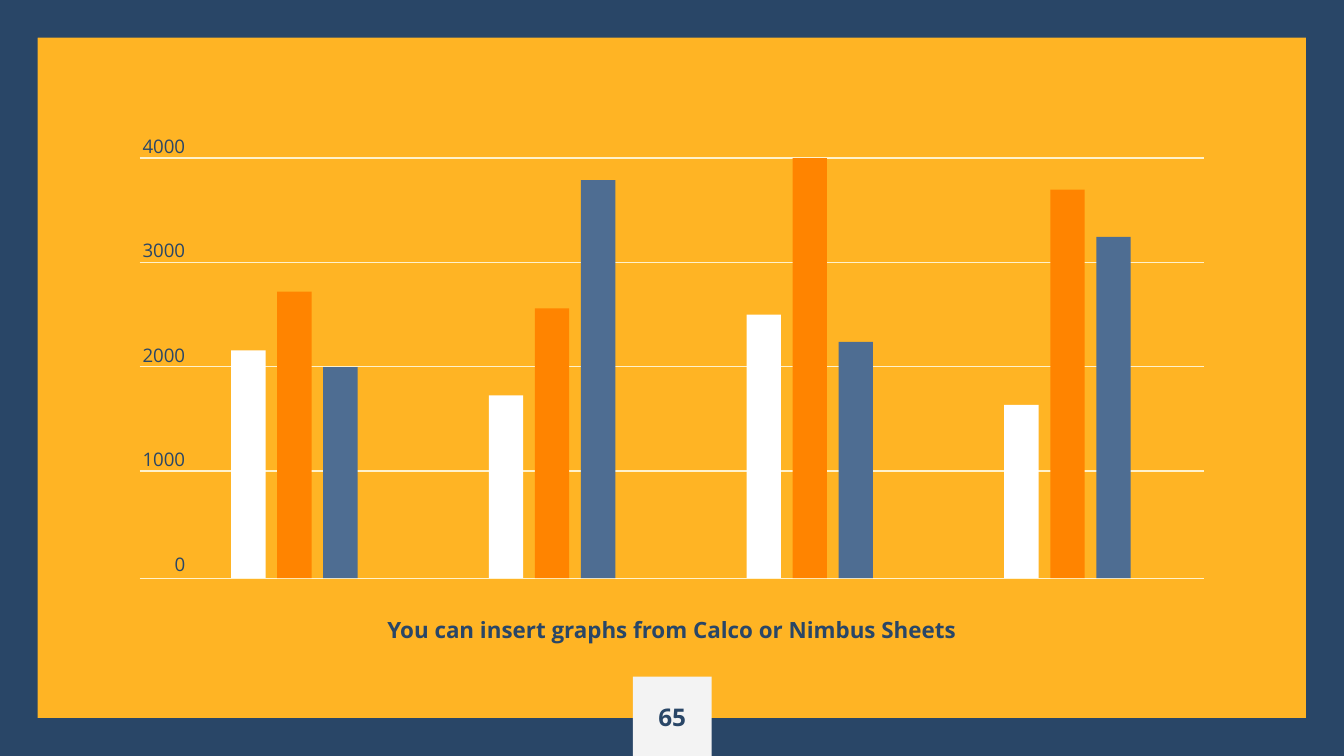
from dataclasses import dataclass

from lxml.etree import SubElement
from pptx import Presentation
from pptx.dml.color import RGBColor
from pptx.enum.shapes import MSO_CONNECTOR, MSO_SHAPE
from pptx.enum.text import MSO_ANCHOR, MSO_AUTO_SIZE, PP_ALIGN
from pptx.oxml.ns import qn
from pptx.util import Cm, Pt


@dataclass(frozen=True)
class Theme:
    """Colours, font and type sizes of the deck."""
    font: str = "Open Sans"
    ink: str = "294667"
    ground: str = "FFA800"
    ground_alpha: int = 86
    tab: str = "F3F3F3"
    grid: str = "FFF2CC"
    series: tuple = ("FFFFFF", "FF8400", "4E6D92")
    caption_size: int = 12
    number_size: int = 13
    axis_size: int = 10


THEME = Theme()
AXIS = (4000, 3000, 2000, 1000, 0)
GROUPS = (
    (2170, 2730, 2010),
    (1740, 2570, 3790),
    (2510, 4000, 2250),
    (1650, 3700, 3250),
)


def add_block(s, box, color, preset=MSO_SHAPE.RECTANGLE):
    """Add a filled shape without outline or shadow."""
    sp = s.shapes.add_shape(preset, *map(Cm, box))
    sp.shadow.inherit = False
    sp.fill.solid()
    sp.fill.fore_color.rgb = RGBColor.from_string(color)
    sp.line.fill.background()
    return sp


def add_rule(s, x1, x2, y):
    """Add a thin horizontal grid line."""
    line = s.shapes.add_connector(
        MSO_CONNECTOR.STRAIGHT, Cm(x1), Cm(y), Cm(x2), Cm(y))
    line.line.color.rgb = RGBColor.from_string(THEME.grid)
    line.line.width = Pt(0.75)
    SubElement(line.element.spPr, qn("a:effectLst"))


def set_frame(tf, margin, anchor):
    """Set wrapping, margins and anchor of a text frame."""
    tf.word_wrap = True
    tf.auto_size = MSO_AUTO_SIZE.NONE
    tf.vertical_anchor = anchor
    tf.margin_left = tf.margin_right = Cm(margin)
    tf.margin_top = tf.margin_bottom = Cm(margin)


def set_text(p, text, size, align, bold=False):
    """Write one paragraph in the theme's font and ink."""
    p.text = text
    p.alignment = align
    p.space_before = Pt(0)
    p.font.name = THEME.font
    p.font.size = Pt(size)
    p.font.bold = bold
    p.font.color.rgb = RGBColor.from_string(THEME.ink)


def add_backdrop(s, box):
    """Draw the tinted ground and the border around it."""
    ground = add_block(s, box, THEME.ground)
    color = ground.element.spPr.find(qn("a:solidFill"))[0]
    SubElement(color, qn("a:alpha"), val=str(THEME.ground_alpha * 1000))
    border = add_block(s, box, THEME.ink, MSO_SHAPE.FRAME)
    border.adjustments[0] = 0.05


def add_page_number(s, box, number):
    """Draw the page tab with its number."""
    add_block(s, box, THEME.tab)
    tf = s.shapes.add_textbox(*map(Cm, box)).text_frame
    set_frame(tf, 0.25, MSO_ANCHOR.MIDDLE)
    set_text(tf.paragraphs[0], number, THEME.number_size, PP_ALIGN.CENTER, True)


def place_caption(sp, box, text):
    """Move the body placeholder to the front and fill it."""
    sp.left, sp.top, sp.width, sp.height = map(Cm, box)
    sp.element.getparent().append(sp.element)
    tf = sp.text_frame
    set_frame(tf, 0.25, MSO_ANCHOR.TOP)
    set_text(tf.paragraphs[0], text, THEME.caption_size, PP_ALIGN.CENTER, True)


def add_bar_graph(s, box):
    """Draw grid lines, axis labels and grouped bars within the box."""
    left, top, width, height = box
    bottom = top + height
    grid_step, group_step, bar_step, bar_width = 1.97, 4.87, 0.87, 0.65

    for i in range(len(AXIS) - 1):
        add_rule(s, left, left + width, top + i * grid_step)
    add_rule(s, left, left + width, bottom)

    labels = s.shapes.add_textbox(
        Cm(left), Cm(top - 0.45), Cm(0.86), Cm(height + 0.45))
    tf = labels.text_frame
    set_frame(tf, 0, MSO_ANCHOR.TOP)
    for i, value in enumerate(AXIS):
        p = tf.add_paragraph() if i else tf.paragraphs[0]
        set_text(p, str(value), THEME.axis_size, PP_ALIGN.RIGHT)
        if i:
            p.space_before = Pt(44)

    for g, values in enumerate(GROUPS):
        for b, (value, color) in enumerate(zip(values, THEME.series)):
            x = left + 1.73 + g * group_step + b * bar_step
            h = height * value / AXIS[0]
            add_block(s, (x, bottom - h, bar_width, h), color)


def build_graph_slide(prs):
    """Build the slide with a bar graph and its caption."""
    s = prs.slides.add_slide(prs.slide_layouts.get_by_name("Section Header"))
    title = s.shapes.title.element
    title.getparent().remove(title)
    add_backdrop(s, (0, 0, 25.4, 14.29))
    add_page_number(s, (11.96, 12.79, 1.49, 1.5), "65")
    place_caption(s.placeholders[1], (1.27, 11.4, 22.86, 1.45),
                  "You can insert graphs from Calco or Nimbus Sheets")
    add_bar_graph(s, (2.64, 2.99, 20.12, 7.94))


def main():
    """Create and save the presentation."""
    prs = Presentation()
    prs.slide_width, prs.slide_height = Cm(25.4), Cm(14.29)
    build_graph_slide(prs)
    prs.save("out.pptx")


if __name__ == "__main__":
    main()
